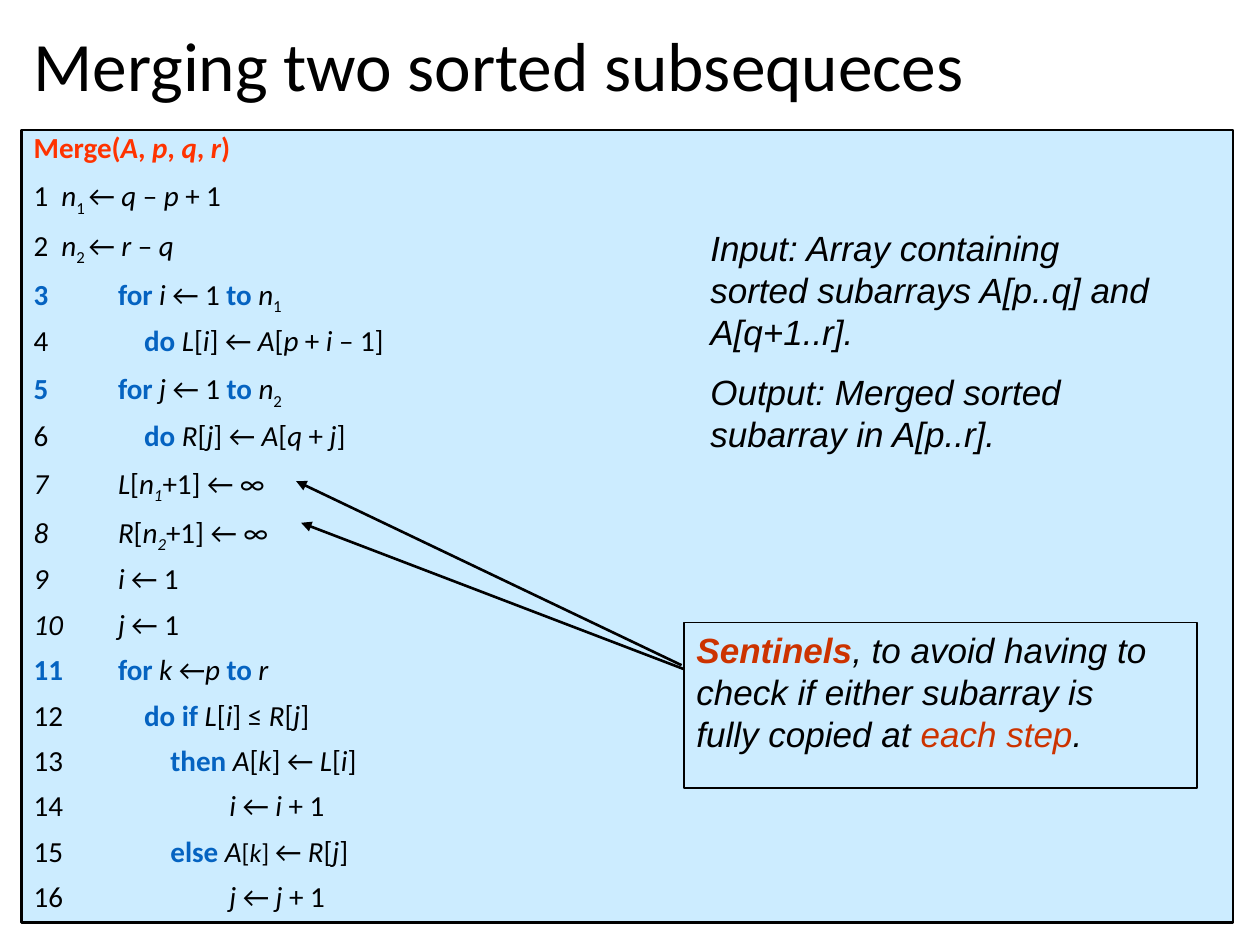
from dataclasses import dataclass
from itertools import groupby

from lxml.etree import SubElement
from pptx import Presentation
from pptx.dml.color import RGBColor
from pptx.enum.shapes import MSO_CONNECTOR, MSO_SHAPE
from pptx.enum.text import MSO_ANCHOR, PP_ALIGN
from pptx.oxml.ns import qn
from pptx.util import Cm, Pt


@dataclass(frozen=True)
class Theme:
    ink: RGBColor = RGBColor(0x00, 0x00, 0x00)
    panel: RGBColor = RGBColor(0xCC, 0xEC, 0xFF)
    heading: RGBColor = RGBColor(0xFF, 0x33, 0x00)
    keyword: RGBColor = RGBColor(0x05, 0x63, 0xC1)
    accent: RGBColor = RGBColor(0xCC, 0x33, 0x00)
    code_font: str = "Calibri"
    note_font: str = "Arial"
    title_size: Pt = Pt(39.6)
    code_size: Pt = Pt(16.6)
    small_code_size: Pt = Pt(14.8)
    note_size: Pt = Pt(20)


theme = Theme()

# Each mark switches a style on or off: # heading, * keyword, ! strong accent,
# ^ accent, _ italic, ~ subscript, % small
MARKS = "#*!^_~%"
MARK_COLORS = {"#": theme.heading, "*": theme.keyword, "!": theme.accent, "^": theme.accent}


def write_marked(paragraph, marked_text, font_name, size):
    """Add one run for every stretch of equally styled characters."""
    active = frozenset()
    characters = []
    for character in marked_text:
        if character in MARKS:
            active = active ^ {character}
        else:
            characters.append((active, character))
    for style, group in groupby(characters, key=lambda pair: pair[0]):
        run = paragraph.add_run()
        run.text = "".join(character for _, character in group)
        run.font.name = font_name
        run.font.size = theme.small_code_size if "%" in style else size
        run.font.bold = bool(style & set("#*!"))
        run.font.italic = "_" in style
        colors = [MARK_COLORS[mark] for mark in style if mark in MARK_COLORS]
        run.font.color.rgb = colors[0] if colors else theme.ink
        if "~" in style:
            run.font._element.set("baseline", "-25000")


def write_paragraphs(text_frame, lines, font_name, size):
    """Fill a text frame with left-aligned paragraphs and return them."""
    for number, line in enumerate(lines):
        paragraph = text_frame.add_paragraph() if number else text_frame.paragraphs[0]
        paragraph.alignment = PP_ALIGN.LEFT
        write_marked(paragraph, line, font_name, size)
    return text_frame.paragraphs


presentation = Presentation()
presentation.slide_width = Cm(25.4)
presentation.slide_height = Cm(19.05)
slide = presentation.slides.add_slide(presentation.slide_layouts[6])

# Title
title = slide.shapes.add_textbox(Cm(0.43), Cm(0.46), Cm(24.43), Cm(1.88))
title.text_frame.word_wrap = True
title.text_frame.vertical_anchor = MSO_ANCHOR.MIDDLE
title_paragraphs = write_paragraphs(
    title.text_frame, ["Merging two sorted subsequeces"], theme.code_font, theme.title_size)
title_paragraphs[0].line_spacing = 0.9

# Pseudocode panel
panel = slide.shapes.add_shape(MSO_SHAPE.RECTANGLE, Cm(0.43), Cm(2.62), Cm(24.43), Cm(15.98))
panel.shadow.inherit = False
panel.fill.solid()
panel.fill.fore_color.rgb = theme.panel
panel.line.color.rgb = theme.ink
panel.line.width = Pt(1.5)
panel.text_frame.word_wrap = True
panel.text_frame.vertical_anchor = MSO_ANCHOR.TOP

code_lines = [
    "#Merge(_A_, _p_, _q_, _r_)#",
    "1  _n_~1 ~← _q _– _p _+ 1",
    "2  _n_~2 ~← _r _– _q_",
    "*for *_i _← 1 *to *_n_~1~",
    "    *do *_L_[_i_] ← _A_[_p _+ _i _– 1]",
    "*for *_j _← 1 *to *_n_~2~",
    "    *do *_R_[_j_] ← _A_[_q _+ _j_]",
    "_L_[_n~1~_+1] ← ∞",
    "_R_[_n~2~_+1] ← ∞",
    "_i_ ← 1",
    "_j_ ← 1",
    "*for *_k _←_p _*to *_r_",
    "    *do if *_L_[_i_] ≤ _R_[_j_]",
    "        *then *_A_[_k_] ← _L_[_i_]",
    "                 _i _← _i_ + 1",
    "        *else *_A_%[_k_] %← _R_[_j_]",
    "                 _j _← _j_ + 1",
]
first_numbered = 3
code_paragraphs = write_paragraphs(
    panel.text_frame, code_lines, theme.code_font, theme.code_size)
for number, paragraph in enumerate(code_paragraphs):
    paragraph.line_spacing = 0.8
    paragraph.space_before = Pt(10 if number else 0)
    properties = paragraph._p.get_or_add_pPr()
    properties.set("marL", str(Cm(1.7)))
    properties.set("indent", str(-Cm(1.7)))
    if number >= first_numbered:
        SubElement(properties, qn("a:buFont"), typeface="+mj-lt")
        SubElement(properties, qn("a:buAutoNum"), type="arabicPlain", startAt=str(first_numbered))

# Sentinel note
sentinel_note = slide.shapes.add_shape(
    MSO_SHAPE.RECTANGLE, Cm(13.79), Cm(12.55), Cm(10.34), Cm(3.33))
sentinel_note.shadow.inherit = False
sentinel_note.fill.background()
sentinel_note.line.color.rgb = theme.ink
sentinel_note.line.width = Pt(1)
sentinel_note.text_frame.word_wrap = False
sentinel_note.text_frame.vertical_anchor = MSO_ANCHOR.TOP
sentinel_lines = [
    "_!Sentinels!, to avoid having to_",
    "_check if either subarray is_",
    "_fully copied at ^each step^._",
]
write_paragraphs(sentinel_note.text_frame, sentinel_lines, theme.note_font, theme.note_size)

# Arrows from the note to the sentinel lines
for start_x, start_y, end_x, end_y in [
    (13.74, 13.41, 5.97, 9.7),
    (13.79, 13.49, 6.07, 10.54),
]:
    arrow = slide.shapes.add_connector(
        MSO_CONNECTOR.STRAIGHT, Cm(start_x), Cm(start_y), Cm(end_x), Cm(end_y))
    arrow.line.color.rgb = theme.ink
    arrow.line.width = Pt(1.5)
    SubElement(arrow.line._get_or_add_ln(), qn("a:tailEnd"), type="triangle")
    SubElement(arrow._element.spPr, qn("a:effectLst"))

# Input and output note
contract_note = slide.shapes.add_textbox(Cm(14.07), Cm(4.45), Cm(9.42), Cm(5.84))
contract_note.text_frame.word_wrap = True
contract_lines = [
    "_Input: Array containing sorted subarrays A[p..q] and A[q+1..r]._",
    "_Output: Merged sorted subarray in A[p..r]._",
]
contract_paragraphs = write_paragraphs(
    contract_note.text_frame, contract_lines, theme.note_font, theme.note_size)
contract_paragraphs[1].space_before = Pt(10)

presentation.save("out.pptx")
